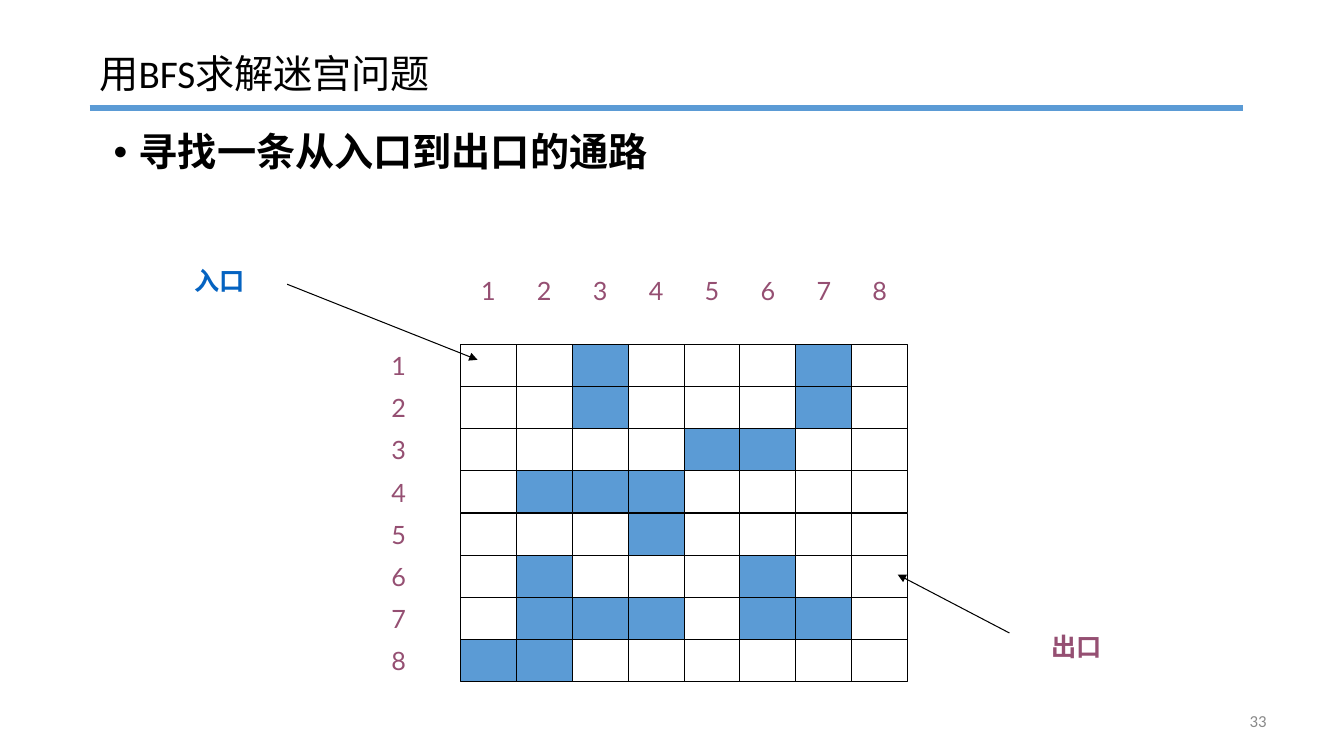
from dataclasses import dataclass, field

from lxml import etree
from pptx import Presentation
from pptx.dml.color import RGBColor
from pptx.enum.shapes import MSO_CONNECTOR, MSO_SHAPE
from pptx.enum.text import MSO_ANCHOR, PP_ALIGN
from pptx.oxml.ns import qn
from pptx.slide import Slide
from pptx.util import Inches, Pt

LEFT, MID, RIGHT = PP_ALIGN.LEFT, PP_ALIGN.CENTER, PP_ALIGN.RIGHT
TOP, CENTER = MSO_ANCHOR.TOP, MSO_ANCHOR.MIDDLE
RECT, LINE = MSO_SHAPE.RECTANGLE, MSO_CONNECTOR.STRAIGHT

BLACK = RGBColor(0x00, 0x00, 0x00)
BLUE = RGBColor(0x5B, 0x9B, 0xD5)
LINK = RGBColor(0x05, 0x63, 0xC1)
PLUM = RGBColor(0x95, 0x4F, 0x72)
GRAY = RGBColor(0x89, 0x89, 0x89)

MAZE = (
    "..#...#.",
    "..#...#.",
    "....##..",
    ".###....",
    "...#....",
    ".#...#..",
    ".###.##.",
    "##......",
)
SIZE = len(MAZE)
GRID_X, GRID_Y = 4.57, 3.42
CELL_W, CELL_H = 4.44 / SIZE, 3.34 / SIZE
HEAD_X, HEAD_Y = 3.68, 2.67

TITLE = {"name": "Calibri", "size": Pt(28), "bold": False}
POINT = TITLE | {"bold": True}
PAGE = TITLE | {"size": Pt(12)}
DIGIT = {"name": "Lato", "size": Pt(18), "bold": False}
GATE = DIGIT | {"bold": True}


@dataclass
class Label:
    text: str
    box: tuple[float, float, float, float]
    font: dict
    color: RGBColor
    align: PP_ALIGN = MID
    anchor: MSO_ANCHOR = CENTER
    wrap: bool = False
    bullet: bool = False
    para: dict = field(default_factory=dict)


@dataclass
class Stroke:
    start: tuple[float, float]
    end: tuple[float, float]
    color: RGBColor = BLACK
    width: float = 0.75
    arrow: bool = True


def add_dot(para) -> None:
    """Give the paragraph a round bullet with a hanging indent."""
    props = para._p.get_or_add_pPr()
    props.set("marL", str(Inches(0.25)))
    props.set("indent", str(Inches(-0.25)))
    font = etree.SubElement(props, qn("a:buFont"))
    font.set("typeface", "Arial")
    etree.SubElement(props, qn("a:buChar")).set("char", "•")


def add_label(slide: Slide, label: Label) -> None:
    frame = slide.shapes.add_textbox(*map(Inches, label.box)).text_frame
    frame.word_wrap = label.wrap
    frame.vertical_anchor = label.anchor
    para = frame.paragraphs[0]
    for key, value in label.para.items():
        setattr(para, key, value)
    para.alignment = label.align
    if label.bullet:
        add_dot(para)
    run = para.add_run()
    run.text = label.text
    for key, value in label.font.items():
        setattr(run.font, key, value)
    run.font.color.rgb = label.color


def add_stroke(slide: Slide, stroke: Stroke) -> None:
    ends = map(Inches, stroke.start + stroke.end)
    link = slide.shapes.add_connector(LINE, *ends)
    link.line.color.rgb = stroke.color
    link.line.width = Pt(stroke.width)
    props = link._element.spPr
    if stroke.arrow:
        tail = etree.SubElement(props.find(qn("a:ln")), qn("a:tailEnd"))
        tail.set("type", "triangle")
    etree.SubElement(props, qn("a:effectLst"))


def add_cell(slide: Slide, row: int, col: int, wall: bool) -> None:
    box = (GRID_X + col * CELL_W, GRID_Y + row * CELL_H, CELL_W, CELL_H)
    cell = slide.shapes.add_shape(RECT, *map(Inches, box))
    cell.shadow.inherit = False
    cell.line.color.rgb = BLACK
    cell.line.width = Pt(0.75)
    if wall:
        cell.fill.solid()
        cell.fill.fore_color.rgb = BLUE
    else:
        cell.fill.background()


def add_maze(slide: Slide) -> None:
    """Draw the cells with their column and row numbers."""
    for row, marks in enumerate(MAZE):
        for col, mark in enumerate(marks):
            add_cell(slide, row, col, mark == "#")
    for step in range(SIZE):
        spots = ((GRID_X + step * CELL_W, HEAD_Y),
                 (HEAD_X, GRID_Y + step * CELL_H))
        for spot in spots:
            box = (*spot, CELL_W, CELL_H)
            add_label(slide, Label(str(step + 1), box, DIGIT, PLUM))


LABELS = (
    Label("用BFS求解迷宫问题", (0.89, 0.44, 11.34, 0.57), TITLE, BLACK,
          LEFT, TOP, wrap=True),
    Label("寻找一条从入口到出口的通路", (1.03, 1.27, 11.23, 0.75), POINT, BLACK,
          LEFT, TOP, wrap=True, bullet=True, para={"line_spacing": 0.9}),
    Label("入口", (1.4, 2.57, 1.56, 0.42), GATE, LINK),
    Label("出口", (9.91, 6.2, 1.56, 0.42), GATE, PLUM),
    Label("33", (9.56, 6.95, 3.11, 0.4), PAGE, GRAY, RIGHT, wrap=True),
)
STROKES = (
    Stroke((0.89, 1.07), (12.34, 1.07), BLUE, 4, arrow=False),
    Stroke((2.85, 2.82), (4.74, 3.57)),
    Stroke((10.02, 6.28), (8.91, 5.7)),
)


def main() -> None:
    deck = Presentation()
    deck.slide_width, deck.slide_height = Inches(13.34), Inches(7.5)
    slide = deck.slides.add_slide(deck.slide_layouts[6])
    add_maze(slide)
    for label in LABELS:
        add_label(slide, label)
    for stroke in STROKES:
        add_stroke(slide, stroke)
    deck.save("out.pptx")


if __name__ == "__main__":
    main()
